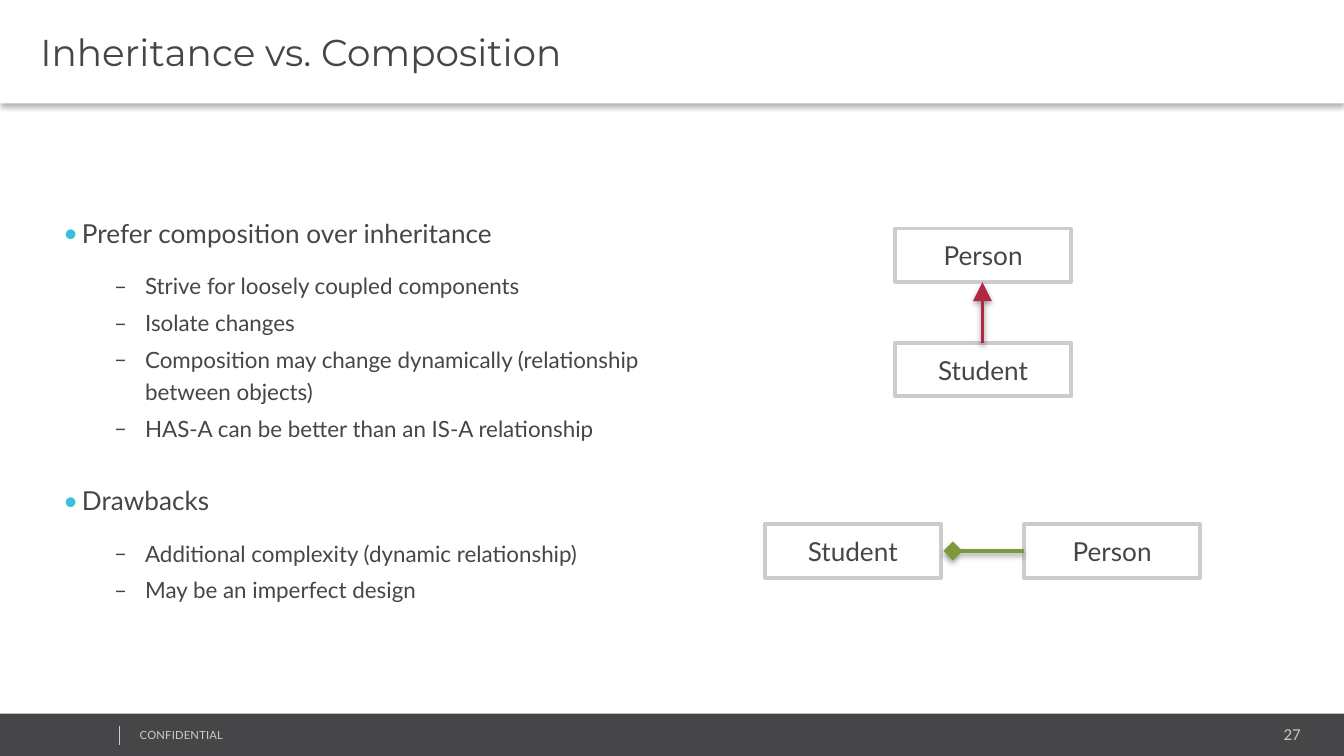
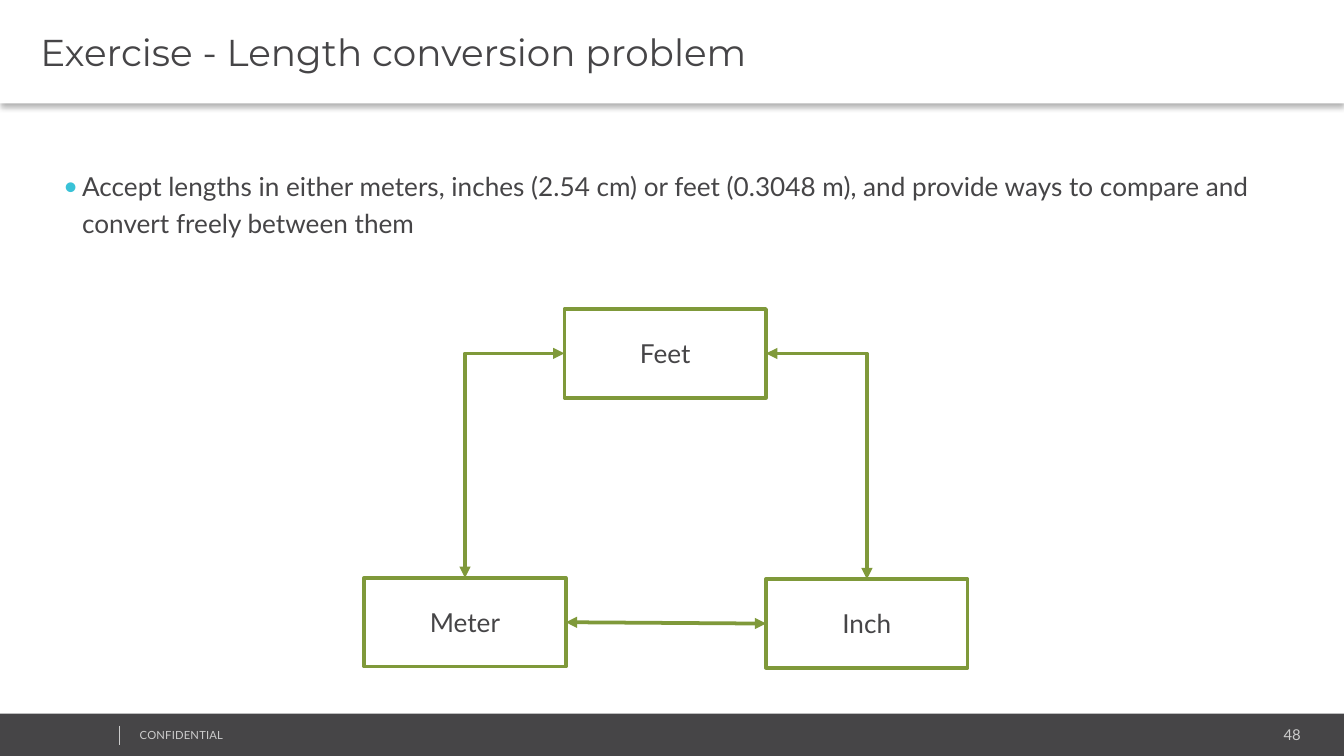
import pptx
import pptx.util
import pptx.dml.color
import pptx.enum.shapes
import pptx.enum.text
import pptx.oxml
import pptx.oxml.ns

Inches = pptx.util.Inches
Pt = pptx.util.Pt
RGBColor = pptx.dml.color.RGBColor
Align = pptx.enum.text.PP_ALIGN
Anchor = pptx.enum.text.MSO_ANCHOR
Connector = pptx.enum.shapes.MSO_CONNECTOR
RECTANGLE = pptx.enum.shapes.MSO_SHAPE.RECTANGLE
qn = pptx.oxml.ns.qn

WHITE = RGBColor(0xFF, 0xFF, 0xFF)
DARK = RGBColor(0x46, 0x45, 0x47)
GREY = RGBColor(0xCC, 0xCC, 0xCC)
CYAN = RGBColor(0x39, 0xC2, 0xD7)
RED = RGBColor(0xB2, 0x27, 0x46)
GREEN = RGBColor(0x7F, 0x99, 0x3A)

BULLETS = [
    {"char": "•", "colour": CYAN, "margin": 0.14, "indent": -0.14, "size": 14, "before": 19.7, "after": 7.5},
    {"char": "–", "colour": DARK, "margin": 0.61, "indent": -0.23, "size": 12, "before": 2.4, "after": 0},
]


def write(paragraph, text, size, colour=DARK, font="Lato"):
    run = paragraph.add_run()
    run.text = text
    run.font.size = Pt(size)
    run.font.name = font
    run.font.color.rgb = colour
    return run


def set_effects(shape, shadow=None):
    properties = shape._element.spPr
    for old in properties.findall(qn("a:effectLst")):
        properties.remove(old)
    effects = properties.makeelement(qn("a:effectLst"), {})
    properties.append(effects)
    if shadow:
        alpha, blur, distance = shadow
        effects.append(pptx.oxml.parse_xml(
            f'<a:outerShdw {pptx.oxml.ns.nsdecls("a")} blurRad="{Pt(blur)}" dist="{Pt(distance)}" '
            f'dir="5400000" rotWithShape="0"><a:srgbClr val="000000">'
            f'<a:alpha val="{alpha * 1000}"/></a:srgbClr></a:outerShdw>'))


pages = [
    {
        "title": "Inheritance vs. Composition",
        "number": "27",
        "body_width": 4.53,
        "body_anchor": Anchor.MIDDLE,
        "body": [
            (0, "Prefer composition over inheritance"),
            (1, "Strive for loosely coupled components"),
            (1, "Isolate changes"),
            (1, "Composition may change dynamically (relationship between objects)"),
            (1, "HAS-A can be better than an IS-A relationship"),
            (0, "Drawbacks"),
            (1, "Additional complexity (dynamic relationship)"),
            (1, "May be an imperfect design"),
        ],
        "box_size": (1.31, 0.4),
        "box_line": GREY,
        "boxes": [
            ("Person", 6.66, 1.7),
            ("Student", 6.66, 2.55),
            ("Person", 7.62, 3.9),
            ("Student", 5.69, 3.9),
        ],
        "links": [
            (Connector.STRAIGHT, (7.31, 2.55), (7.31, 2.1), RED, {"tail": "triangle"}),
            (Connector.STRAIGHT, (7.62, 4.1), (7.09, 4.1), GREEN, {"tail": "diamond"}),
        ],
        "arrowhead_size": "lg",
        "link_shadow": (38, 3.1, 1.6),
    },
    {
        "title": "Exercise - Length conversion problem",
        "number": "48",
        "body_width": 9.12,
        "body_anchor": Anchor.TOP,
        "body": [
            (0, "Accept lengths in either meters, inches (2.54 cm) or feet (0.3048 m), "
                "and provide ways to compare and convert freely between them"),
        ],
        "box_size": (1.5, 0.66),
        "box_line": GREEN,
        "boxes": [("Meter", 2.71, 4.3), ("Inch", 5.7, 4.31), ("Feet", 4.2, 2.3)],
        "links": [
            (Connector.ELBOW, (4.2, 2.63), (3.46, 4.3), GREEN, {"head": "triangle", "tail": "triangle"}),
            (Connector.ELBOW, (5.7, 2.63), (6.45, 4.31), GREEN, {"head": "triangle", "tail": "triangle"}),
            (Connector.STRAIGHT, (5.7, 4.64), (4.21, 4.63), GREEN, {"head": "triangle", "tail": "triangle"}),
        ],
        "arrowhead_size": "med",
        "link_shadow": None,
    },
]

deck = pptx.Presentation()
deck.slide_width = Inches(10)
deck.slide_height = Inches(10) * 9 // 16

for page in pages:
    slide = deck.slides.add_slide(deck.slide_layouts[6])
    shapes = slide.shapes

    footer_band = shapes.add_shape(RECTANGLE, Inches(0), Inches(5.31), Inches(10.01), Inches(0.33))
    footer_band.shadow.inherit = False
    footer_band.fill.solid()
    footer_band.fill.fore_color.rgb = DARK
    footer_band.line.fill.background()

    page_number = shapes.add_textbox(Inches(8.12), Inches(5.36), Inches(1.63), Inches(0.21))
    notice = shapes.add_textbox(Inches(0.97), Inches(5.38), Inches(2.53), Inches(0.18))
    body = shapes.add_textbox(Inches(0.4), Inches(1.18), Inches(page["body_width"]), Inches(3.7))
    title = shapes.add_shape(RECTANGLE, Inches(0), Inches(0), Inches(10), Inches(0.77))
    for area in (page_number, notice, body, title):
        frame = area.text_frame
        frame.word_wrap = True
        frame.margin_left = frame.margin_right = Inches(0.07)
        frame.margin_top = frame.margin_bottom = Inches(0.04)

    page_number.text_frame.paragraphs[0].alignment = Align.RIGHT
    write(page_number.text_frame.paragraphs[0], page["number"], 8, GREY)
    notice_run = write(notice.text_frame.paragraphs[0], "CONFIDENTIAL", 6, GREY)
    notice_run.font._element.set("spc", "10")

    footer_rule = shapes.add_connector(Connector.STRAIGHT, Inches(0.89), Inches(5.4), Inches(0.89), Inches(5.54))
    footer_rule.line.color.rgb = GREY
    footer_rule.line.width = Pt(0.25)
    set_effects(footer_rule)

    body.text_frame.vertical_anchor = page["body_anchor"]
    for index, (level, text) in enumerate(page["body"]):
        style = BULLETS[level]
        paragraph = body.text_frame.add_paragraph() if index else body.text_frame.paragraphs[0]
        layout = paragraph._p.get_or_add_pPr()
        layout.set("marL", str(Inches(style["margin"])))
        layout.set("indent", str(Inches(style["indent"])))
        bullet_colour = layout.makeelement(qn("a:buClr"), {})
        bullet_colour.append(layout.makeelement(qn("a:srgbClr"), {"val": str(style["colour"])}))
        layout.append(bullet_colour)
        layout.append(layout.makeelement(qn("a:buFont"), {"typeface": "Lato"}))
        layout.append(layout.makeelement(qn("a:buChar"), {"char": style["char"]}))
        paragraph.level = level
        paragraph.line_spacing = 1.2
        paragraph.space_before = Pt(style["before"] if index else 0)
        paragraph.space_after = Pt(style["after"])
        write(paragraph, text, style["size"])

    title.fill.solid()
    title.fill.fore_color.rgb = WHITE
    title.line.fill.background()
    set_effects(title, (30, 3.1, 2))
    title.text_frame.margin_left = Inches(0.3)
    title.text_frame.vertical_anchor = Anchor.MIDDLE
    title.text_frame.paragraphs[0].alignment = Align.LEFT
    write(title.text_frame.paragraphs[0], page["title"], 20, font="Montserrat")

    width, height = page["box_size"]
    for name, left, top in page["boxes"]:
        box = shapes.add_shape(RECTANGLE, Inches(left), Inches(top), Inches(width), Inches(height))
        box.shadow.inherit = False
        box.fill.solid()
        box.fill.fore_color.rgb = WHITE
        box.line.color.rgb = page["box_line"]
        box.line.width = Pt(2)
        box.text_frame.vertical_anchor = Anchor.MIDDLE
        box.text_frame.paragraphs[0].alignment = Align.CENTER
        write(box.text_frame.paragraphs[0], name, 14)

    for kind, start, end, colour, arrowheads in page["links"]:
        link = shapes.add_connector(kind, *map(Inches, start + end))
        if kind == Connector.ELBOW:
            link._element.spPr.find(qn("a:prstGeom")).set("prst", "bentConnector2")
        link.line.color.rgb = colour
        link.line.width = Pt(2)
        outline = link.line._get_or_add_ln()
        size = page["arrowhead_size"]
        for side, arrowhead in arrowheads.items():
            outline.append(outline.makeelement(qn(f"a:{side}End"), {"type": arrowhead, "w": size, "len": size}))
        set_effects(link, page["link_shadow"])

deck.save("out.pptx")
